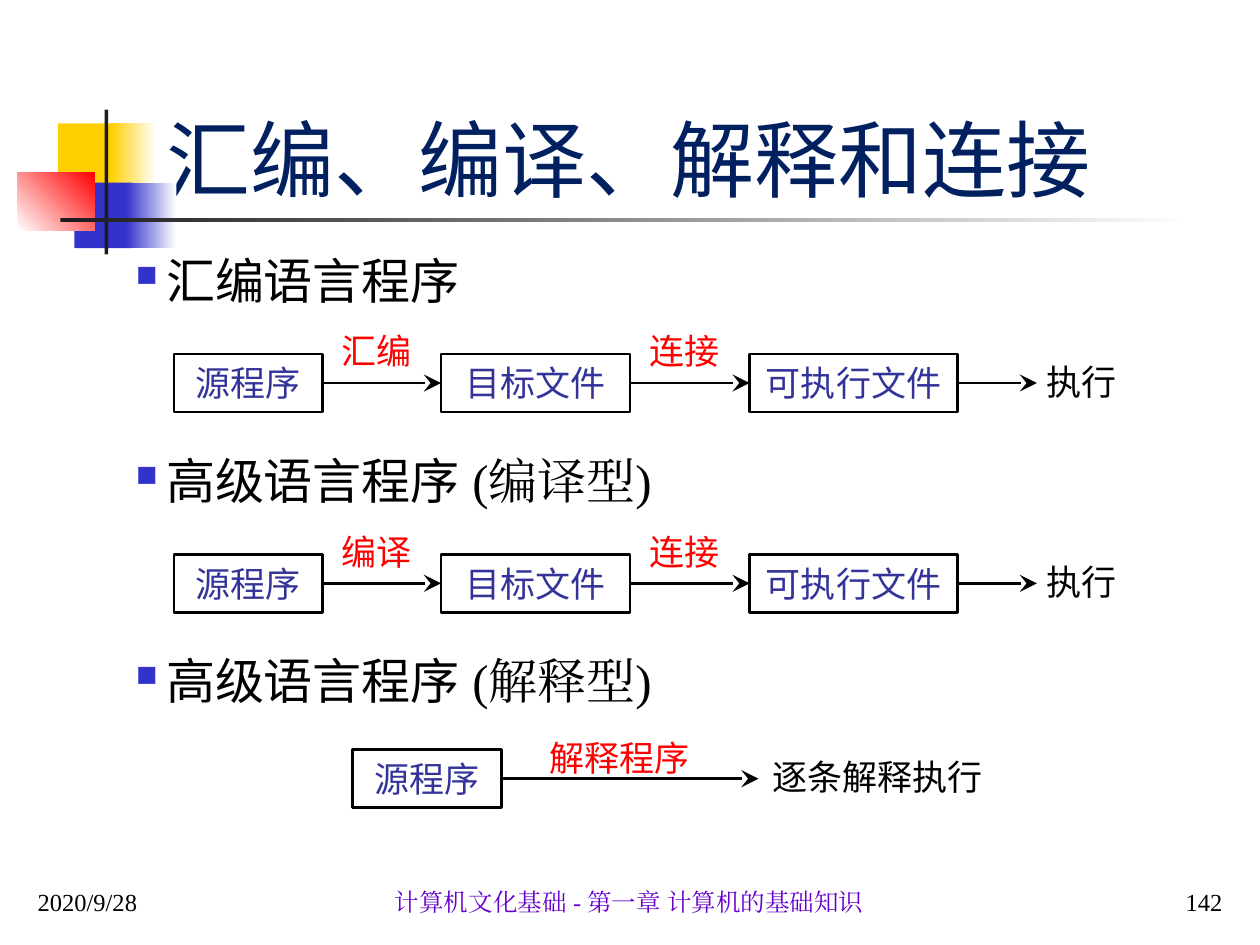
from lxml import etree
from pptx import Presentation
from pptx.dml.color import RGBColor
from pptx.enum.shapes import MSO_CONNECTOR, MSO_SHAPE
from pptx.enum.text import MSO_ANCHOR, PP_ALIGN
from pptx.oxml.ns import qn
from pptx.util import Inches, Pt

RECTANGLE = MSO_SHAPE.RECTANGLE
STRAIGHT = MSO_CONNECTOR.STRAIGHT
TOP, MIDDLE, BOTTOM = MSO_ANCHOR.TOP, MSO_ANCHOR.MIDDLE, MSO_ANCHOR.BOTTOM
LEFT, CENTER, RIGHT = PP_ALIGN.LEFT, PP_ALIGN.CENTER, PP_ALIGN.RIGHT
BLACK, RED, NAVY, BLUE = "000000", "FF0000", "333399", "3333CC"
SANS, SERIF, CJK = "Lato", "Times New Roman", "Noto Sans CJK JP"


def color(value):
    return RGBColor.from_string(value)


def write(box, runs, size, ink, align=CENTER, anchor=MIDDLE):
    frame = box.text_frame
    frame.word_wrap = True
    frame.vertical_anchor = anchor
    para = frame.paragraphs[0]
    para.alignment = align
    for text, face in runs:
        span = para.add_run()
        span.text = text
        span.font.size = Pt(size)
        span.font.color.rgb = color(ink)
        span.font.name = face
        etree.SubElement(span.font._element, qn("a:ea"), typeface=face)
    return para


deck = Presentation()
deck.slide_width, deck.slide_height = Inches(10), Inches(7.5)
page = deck.slides.add_slide(deck.slide_layouts[5])

ornaments = [
    (0.46, 0.98, 0.48, 0.52, ["FFCF01"], 0),
    (0.88, 0.98, 0.36, 0.52, ["FFCF01", "FFFFFF"], 0),
    (0.59, 1.45, 0.46, 0.52, [BLUE], 0),
    (1, 1.45, 0.4, 0.52, [BLUE, "FFFFFF"], 0),
    (0.14, 1.37, 0.61, 0.46, ["FFFFFF", RED], 45),
    (0.83, 0.87, 0.03, 1.15, ["1C1C1C"], 0),
    (0.48, 1.73, 9, 0.03, ["1C1C1C", "FFFFFF"], 0),
]
for left, top, width, height, shades, angle in ornaments:
    block = page.shapes.add_shape(RECTANGLE, Inches(left), Inches(top), Inches(width), Inches(height))
    block.shadow.inherit = False
    block.line.fill.background()
    if len(shades) == 1:
        block.fill.solid()
        block.fill.fore_color.rgb = color(shades[0])
    else:
        block.fill.gradient()
        block.fill.gradient_angle = angle
        for stop, shade in zip(block.fill.gradient_stops, shades):
            stop.color.rgb = color(shade)

title = page.shapes.title
title.left, title.top, title.width, title.height = Inches(1.22), Inches(0.68), Inches(8.56), Inches(1.02)
write(title, [("汇编、编译、解释和连接", CJK)], 48, "002060", LEFT, BOTTOM)

footers = [
    (0.2, 1.26, "2020/9/28", BLACK, LEFT),
    (1.61, 6.77, "计算机文化基础 - 第一章 计算机的基础知识", "6600CC", CENTER),
    (8.54, 1.26, "142", BLACK, RIGHT),
]
for left, width, text, ink, align in footers:
    box = page.shapes.add_textbox(Inches(left), Inches(6.82), Inches(width), Inches(0.5))
    write(box, [(text, SERIF)], 14, ink, align, BOTTOM)

headings = [
    (2.99, [("汇编语言程序", SANS)]),
    (5.91, [("高级语言程序 ", SANS), ("(编译型)", SERIF)]),
    (4.41, [("高级语言程序 ", SANS), ("(解释型)", SERIF)]),
]
for row, (width, runs) in enumerate(headings):
    box = page.shapes.add_textbox(Inches(0.98), Inches(1.94 + 1.585 * row), Inches(width), Inches(0.57))
    para = write(box, runs, 28, BLACK, LEFT, TOP)
    indent = Inches(0.24)
    properties = para._p.get_or_add_pPr()
    properties.set("marL", str(indent))
    properties.set("indent", str(-indent))
    tint = etree.SubElement(properties, qn("a:buClr"))
    etree.SubElement(tint, qn("a:srgbClr"), val=BLUE)
    etree.SubElement(properties, qn("a:buSzPct"), val="60000")
    etree.SubElement(properties, qn("a:buChar"), char="■")

stages = [(1.38, 1.18, "源程序"), (3.5, 1.5, "目标文件"), (5.95, 1.65, "可执行文件")]
flows = [
    (2.81, stages, 8.23, [(2.4, 2.57, 1.18, "汇编", RED), (4.84, 2.57, 1.18, "连接", RED),
                          (7.99, 2.81, 1.18, "执行", BLACK)]),
    (4.4, stages, 8.23, [(2.4, 4.16, 1.18, "编译", RED), (4.84, 4.16, 1.18, "连接", RED),
                         (7.99, 4.4, 1.18, "执行", BLACK)]),
    (5.95, [(2.8, 1.18, "源程序")], 6.02, [(4.21, 5.8, 1.42, "解释程序", RED),
                                        (6.02, 5.95, 1.89, "逐条解释执行", BLACK)]),
]
for top, steps, finish, labels in flows:
    boxes = []
    for left, width, text in steps:
        box = page.shapes.add_shape(RECTANGLE, Inches(left), Inches(top), Inches(width), Inches(0.46))
        box.shadow.inherit = False
        box.fill.background()
        box.line.color.rgb = color(BLACK)
        box.line.width = Pt(1.5)
        write(box, [(text, SANS)], 20, NAVY)
        boxes.append(box)
    middle = Inches(top + 0.23)
    for source, target in zip(boxes, boxes[1:] + [None]):
        arrow = page.shapes.add_connector(STRAIGHT, source.left + source.width, middle, Inches(finish), middle)
        arrow.begin_connect(source, 3)
        if target is not None:
            arrow.end_connect(target, 1)
        arrow.line.color.rgb = color(BLACK)
        arrow.line.width = Pt(1.5)
        etree.SubElement(arrow.line._get_or_add_ln(), qn("a:tailEnd"), type="stealth", w="lg", len="lg")
        etree.SubElement(arrow._element.spPr, qn("a:effectLst"))
    for left, label_top, width, text, ink in labels:
        box = page.shapes.add_textbox(Inches(left), Inches(label_top), Inches(width), Inches(0.43))
        write(box, [(text, SANS)], 20, ink)

deck.save("out.pptx")
